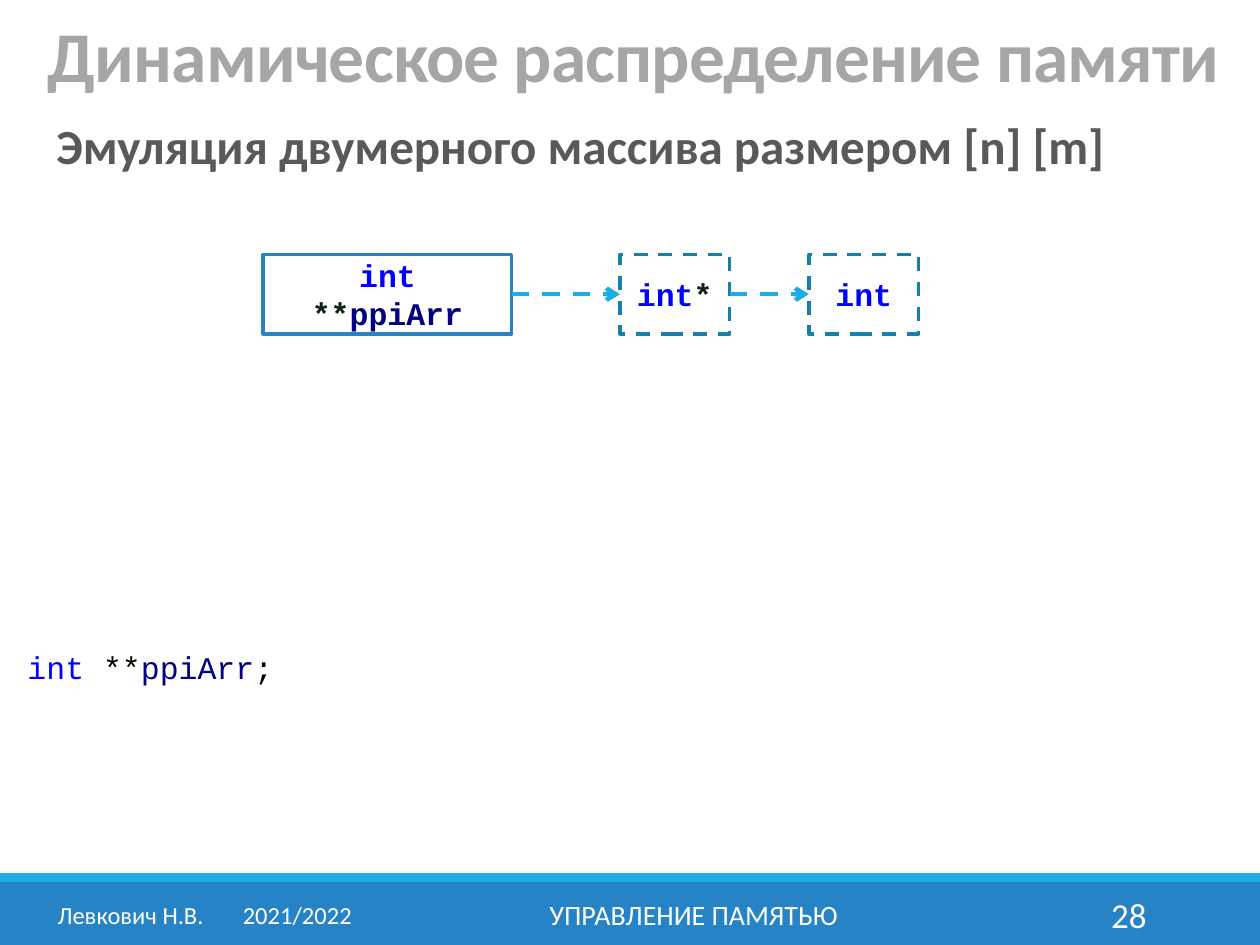
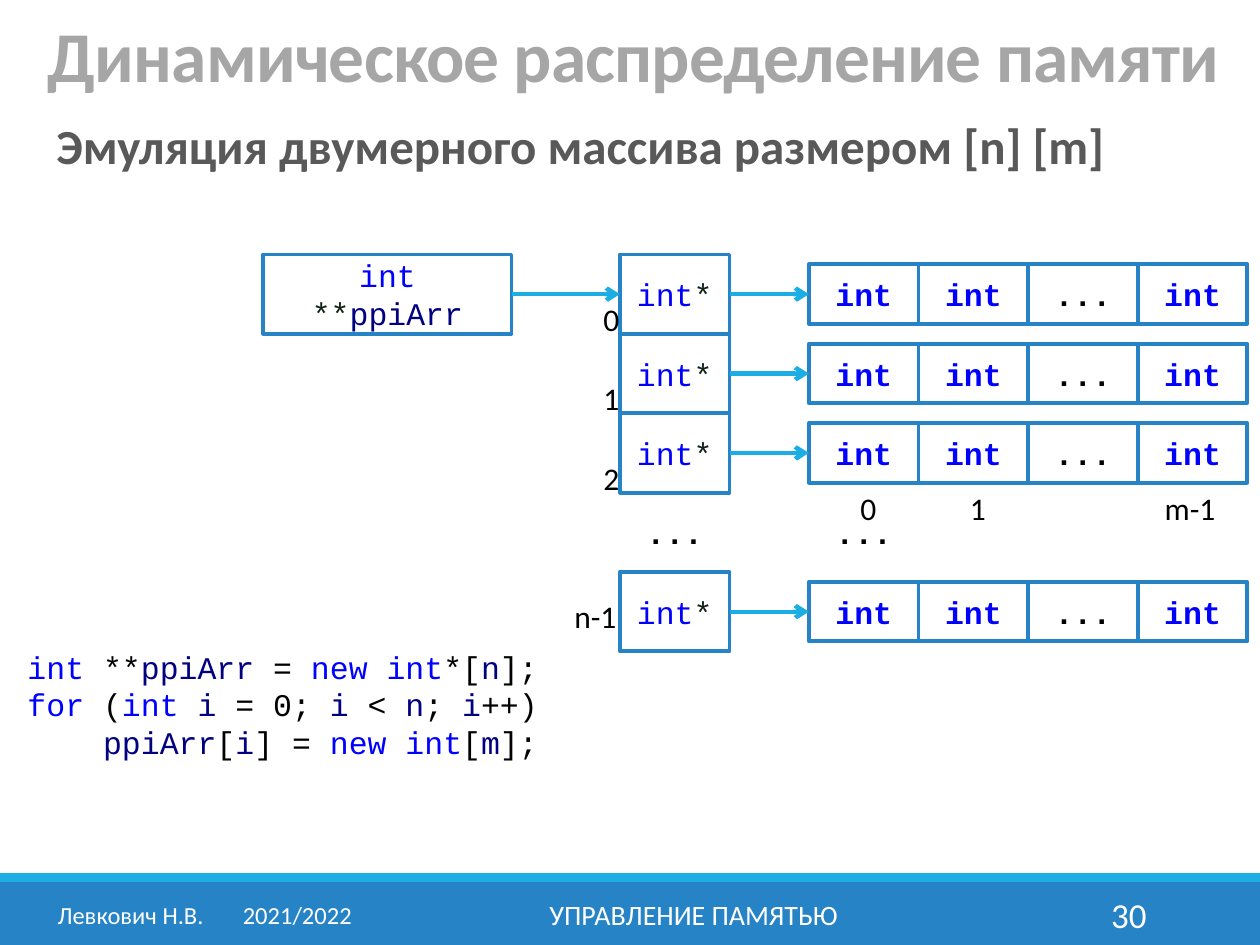
from itertools import groupby
from lxml import etree
from pptx import Presentation
from pptx import util as u
from pptx.dml.color import RGBColor
from pptx.enum import dml, shapes, text
from pptx.oxml.ns import qn

BLUE, CYAN, TEAL = "2683C6", "1CADE4", "1580A9"
WHITE, BLACK, GREY, DARK_GREY = "FFFFFF", "000000", "A6A6A6", "595959"
KEYWORD, NAME, STAR = "0000FF", "000080", "102215"
KEYWORDS = {"int", "new", "for"}
SANS, MONO = "Calibri", "Courier New"
LEFT, CENTER, RIGHT = text.PP_ALIGN.LEFT, text.PP_ALIGN.CENTER, text.PP_ALIGN.RIGHT
TOP, MIDDLE, BOTTOM = text.MSO_ANCHOR.TOP, text.MSO_ANCHOR.MIDDLE, text.MSO_ANCHOR.BOTTOM

# Grid of the memory diagram
COL, ROW = 0.87, 0.63
DIAGRAM_TOP = 2.02
ROOT_X, ROOT_W = 2.09, 1.97
POINTER_X, DATA_X = 4.92, 6.42
DATA_H = ROW * 0.75
DATA_INSET = (ROW - DATA_H) / 2
LABEL = 0.24
FOOTER_Y, FOOTER_H = 7.06, 0.4


def colour(value):
    return RGBColor.from_string(value)


def write(shape, words, size, tint, font=SANS, bold=False, align=CENTER, anchor=MIDDLE):
    """Fill a shape with text; monospaced text gets syntax colours."""
    frame = shape.text_frame
    frame.text = words
    frame.word_wrap = True
    frame.auto_size = text.MSO_AUTO_SIZE.NONE
    frame.vertical_anchor = anchor
    for paragraph in frame.paragraphs:
        paragraph.alignment = align
        if font == MONO:
            line = paragraph.text
            paragraph.clear()
            for is_word, letters in groupby(line, str.isalpha):
                paragraph.add_run().text = "".join(letters)
        for run in paragraph.runs:
            run.font.name, run.font.size, run.font.bold = font, u.Pt(size), bold
            token_tint = tint
            if font == MONO and run.text.isalpha():
                token_tint = KEYWORD if run.text in KEYWORDS else NAME
            run.font.color.rgb = colour(token_tint)
    return frame.paragraphs[0]


deck = Presentation()
deck.slide_width, deck.slide_height = u.Inches(10), u.Inches(7.5)

DECLARATION = "int **ppiArr;"
ALLOCATION = """int **ppiArr = new int*[n];
for (int i = 0; i < n; i++)
    ppiArr[i] = new int[m];"""

# Number, code, code height, diagram rows with their index, whether memory is allocated
pages = [
    ("28", DECLARATION, 0.4, {0: ""}, False),
    ("30", ALLOCATION, 1.01, {0: "0", 1: "1", 2: "2", 4: "n-1"}, True),
]

for number, code, code_h, rows, allocated in pages:
    slide = deck.slides.add_slide(deck.slide_layouts[5])

    # Footer bands
    for y, h, tint in [(7, 0.5, BLUE), (6.93, 0.07, CYAN)]:
        band = slide.shapes.add_shape(shapes.MSO_SHAPE.RECTANGLE, 0, u.Inches(y),
                                      deck.slide_width, u.Inches(h))
        band.shadow.inherit = False
        band.fill.solid()
        band.fill.fore_color.rgb = colour(tint)
        band.line.fill.background()

    # Title
    title = slide.shapes.title
    title.left, title.top = u.Inches(0.28), u.Inches(0.13)
    title.width, title.height = u.Inches(9.61), u.Inches(0.68)
    heading = write(title, "Динамическое распределение памяти", 40.8, GREY,
                    bold=True, align=LEFT, anchor=BOTTOM)
    heading.line_spacing = 0.75
    heading.runs[0].font._element.set("spc", "-50")

    # Subtitle
    subtitle = slide.shapes.add_textbox(*map(u.Inches, (0.35, 0.92, 9.37, 0.53)))
    write(subtitle, "Эмуляция двумерного массива размером [n] [m]", 28, DARK_GREY,
          bold=True, align=LEFT, anchor=TOP).line_spacing = 0.9

    # Footer texts
    for x, w, words, size, align in [
        (0.32, 2.61, "Левкович Н.В.\t2021/2022", 14, CENTER),
        (3.02, 4.97, "УПРАВЛЕНИЕ ПАМЯТЬЮ", 16, CENTER),
        (8.12, 1.08, number, 20, RIGHT),
    ]:
        footer = slide.shapes.add_textbox(*map(u.Inches, (x, FOOTER_Y, w, FOOTER_H)))
        paragraph = write(footer, words, size, WHITE, align=align)
        if "\t" in words:
            tabs = etree.SubElement(paragraph._p.get_or_add_pPr(), qn("a:tabLst"))
            etree.SubElement(tabs, qn("a:tab"), pos=str(u.Inches(1.47)), algn="l")

    # Collect the diagram: cells are (x, y, w, h, text, symbol colour, bold, reserved)
    cells = [(ROOT_X, DIAGRAM_TOP, ROOT_W, ROW, "int **ppiArr", STAR, not allocated, True)]
    arrows = [(ROOT_X + ROOT_W, POINTER_X, DIAGRAM_TOP + ROW / 2)]
    labels = []
    for row, index in rows.items():
        y = DIAGRAM_TOP + row * ROW
        cells.append((POINTER_X, y, COL, ROW, "int*", STAR, not allocated, allocated))
        arrows.append((POINTER_X + COL, DATA_X, y + ROW / 2))
        if allocated:
            for column, kind in enumerate(["int", "int", "...", "int"]):
                cells.append((DATA_X + column * COL, y + DATA_INSET, COL, DATA_H,
                              kind, BLACK, True, True))
            if index == "n-1":
                labels.append((4.45, y + 0.23, 0.55, index))
            else:
                labels.append((4.69, y + ROW - LABEL, LABEL, index))
        else:
            cells.append((DATA_X, y, COL, ROW, "int", STAR, True, False))

    # Cells, dashed while their memory is not allocated
    for x, y, w, h, words, tint, bold, reserved in cells:
        cell = slide.shapes.add_shape(shapes.MSO_SHAPE.RECTANGLE, *map(u.Inches, (x, y, w, h)))
        cell.shadow.inherit = False
        cell.fill.background()
        cell.line.color.rgb = colour(BLUE if reserved else TEAL)
        cell.line.width = u.Pt(2.25 if reserved else 2)
        if not reserved:
            cell.line.dash_style = dml.MSO_LINE.DASH
        write(cell, words, 18, tint, MONO, bold)

    # Arrows
    for start, end, y in arrows:
        arrow = slide.shapes.add_connector(shapes.MSO_CONNECTOR.STRAIGHT,
                                           *map(u.Inches, (start, y, end, y)))
        arrow.line.color.rgb = colour(CYAN)
        arrow.line.width = u.Pt(2.5)
        if not allocated:
            arrow.line.dash_style = dml.MSO_LINE.DASH
        properties = arrow._element.spPr
        etree.SubElement(properties.find(qn("a:ln")), qn("a:tailEnd"), type="arrow")
        etree.SubElement(properties, qn("a:effectLst"))

    # Index labels and the row of dots
    if allocated:
        skipped_y = DIAGRAM_TOP + 3 * ROW
        labels += [(6.73, skipped_y, LABEL, "0"), (6.73 + COL, skipped_y, LABEL, "1"),
                   (9.09, skipped_y, 0.71, "m-1")]
        for x in (POINTER_X, DATA_X):
            dots = slide.shapes.add_textbox(*map(u.Inches, (x, skipped_y, COL, ROW)))
            write(dots, "...", 18, BLACK, MONO, bold=True)
    for x, y, w, index in labels:
        label = slide.shapes.add_textbox(*map(u.Inches, (x, y, w, LABEL)))
        write(label, index, 18, BLACK)

    # Code listing
    listing = slide.shapes.add_textbox(*map(u.Inches, (0.12, 5.09, 5, code_h)))
    write(listing, code, 18, BLACK, MONO, align=LEFT, anchor=TOP)

deck.save("out.pptx")
